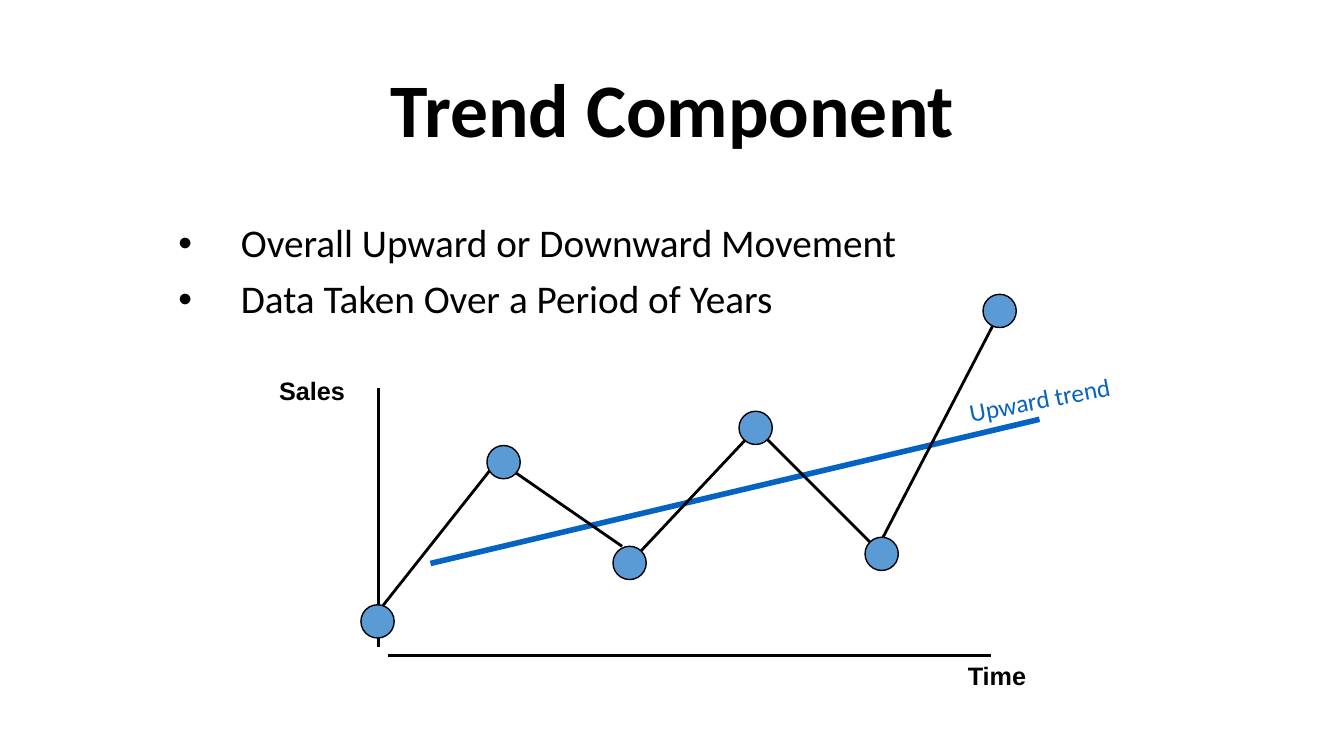
from dataclasses import dataclass, field
from typing import Any

from lxml import etree
from pptx import Presentation
from pptx import util as u
from pptx.dml import color
from pptx.enum import shapes, text
from pptx.oxml import ns


@dataclass(frozen=True)
class Theme:
    ink: color.RGBColor = color.RGBColor(0x00, 0x00, 0x00)
    trend: color.RGBColor = color.RGBColor(0x05, 0x63, 0xC1)
    marker: color.RGBColor = color.RGBColor(0x5B, 0x9B, 0xD5)
    body_font: str = "Calibri"
    axis_font: str = "Arial"
    title_size: int = 54
    body_size: int = 28
    label_size: int = 18


THEME = Theme()
MARKER_SIZE = 0.33
BULLET_INDENT = 0.62


@dataclass(frozen=True)
class Line:
    start: tuple[float, float]
    end: tuple[float, float]
    rgb: color.RGBColor = THEME.ink
    width: float = 2


@dataclass(frozen=True)
class TextBlock:
    lines: tuple[str, ...]
    box: tuple[float, float, float, float]
    size: int = THEME.label_size
    font: str = THEME.body_font
    rgb: color.RGBColor = THEME.ink
    bold: bool = False
    rotation: float = 0
    bulleted: bool = False
    anchor: text.MSO_ANCHOR = text.MSO_ANCHOR.TOP
    paragraph_format: dict[str, Any] = field(default_factory=dict)


HEADINGS = (
    TextBlock(("Trend Component",), (0.92, 0.4, 11.5, 1.45), THEME.title_size,
              bold=True, anchor=text.MSO_ANCHOR.MIDDLE,
              paragraph_format={"alignment": text.PP_ALIGN.CENTER, "line_spacing": 0.9}),
    TextBlock(("Overall Upward or Downward Movement", "Data Taken Over a Period of Years"),
              (1.67, 2.17, 9.58, 4.5), THEME.body_size, bulleted=True,
              paragraph_format={"line_spacing": 0.9, "space_before": u.Pt(10)}),
)
LABELS = (
    TextBlock(("Sales",), (2.67, 3.67, 1.58, 0.4), font=THEME.axis_font, bold=True),
    TextBlock(("Time",), (9.5, 6.5, 1.58, 0.4), font=THEME.axis_font, bold=True),
    TextBlock(("Upward trend",), (9.5, 3.71, 2.16, 0.4), rgb=THEME.trend, rotation=349),
)
AXES = (
    Line((3.75, 3.85), (3.75, 6.42)),
    Line((3.85, 6.5), (9.83, 6.5)),
)
TREND = Line((4.27, 5.59), (10.31, 4.16), THEME.trend, 4)
SALES_SEGMENTS = (
    Line((3.67, 6.17), (4.92, 4.59)),
    Line((5.1, 4.68), (6.17, 5.42)),
    Line((6.25, 5.58), (7.5, 4.25)),
    Line((7.6, 4.35), (8.67, 5.42)),
    Line((8.67, 5.5), (9.92, 3.09)),
)
# Top left corners of the sales markers
SALES_MARKERS = ((3.58, 6), (4.83, 4.42), (6.08, 5.42),
                 (7.33, 4.08), (8.58, 5.33), (9.75, 2.92))


def set_values(target: Any, values: dict[str, Any]) -> None:
    for name, value in values.items():
        setattr(target, name, value)


def add_bullet(paragraph: Any) -> None:
    properties = paragraph._p.get_or_add_pPr()
    indent = u.Inches(BULLET_INDENT)
    properties.set("marL", str(indent))
    properties.set("indent", str(-indent))
    etree.SubElement(properties, ns.qn("a:buFont"), typeface="Arial")
    etree.SubElement(properties, ns.qn("a:buChar"), char="•")


def draw_text(slide: Any, block: TextBlock) -> None:
    shape = slide.shapes.add_textbox(*map(u.Inches, block.box))
    shape.rotation = block.rotation
    frame = shape.text_frame
    set_values(frame, {"word_wrap": True, "vertical_anchor": block.anchor,
                       "text": "\n".join(block.lines)})
    for paragraph in frame.paragraphs:
        set_values(paragraph, block.paragraph_format)
        font = paragraph.runs[0].font
        set_values(font, {"name": block.font, "size": u.Pt(block.size), "bold": block.bold})
        font.color.rgb = block.rgb
        if block.bulleted:
            add_bullet(paragraph)


def draw_line(slide: Any, line: Line) -> None:
    connector = slide.shapes.add_connector(
        shapes.MSO_CONNECTOR.STRAIGHT, *map(u.Inches, line.start + line.end))
    connector.line.color.rgb = line.rgb
    connector.line.width = u.Pt(line.width)
    etree.SubElement(connector._element.spPr, ns.qn("a:effectLst"))


def draw_marker(slide: Any, left: float, top: float) -> None:
    shape = slide.shapes.add_shape(
        shapes.MSO_SHAPE.OVAL, *map(u.Inches, (left, top, MARKER_SIZE, MARKER_SIZE)))
    shape.shadow.inherit = False
    shape.fill.solid()
    shape.fill.fore_color.rgb = THEME.marker
    shape.line.color.rgb = THEME.ink
    shape.line.width = u.Pt(1)


def main() -> None:
    presentation = Presentation()
    set_values(presentation, {"slide_width": u.Inches(13.33), "slide_height": u.Inches(7.5)})
    slide = presentation.slides.add_slide(presentation.slide_layouts[6])

    # Title and bullets
    for block in HEADINGS:
        draw_text(slide, block)

    # Axes, trend and sales lines
    for line in (*AXES, TREND, *SALES_SEGMENTS):
        draw_line(slide, line)

    # Sales markers cover the line ends
    for left, top in SALES_MARKERS:
        draw_marker(slide, left, top)

    # Axis and trend labels
    for block in LABELS:
        draw_text(slide, block)

    presentation.save("out.pptx")


if __name__ == "__main__":
    main()
